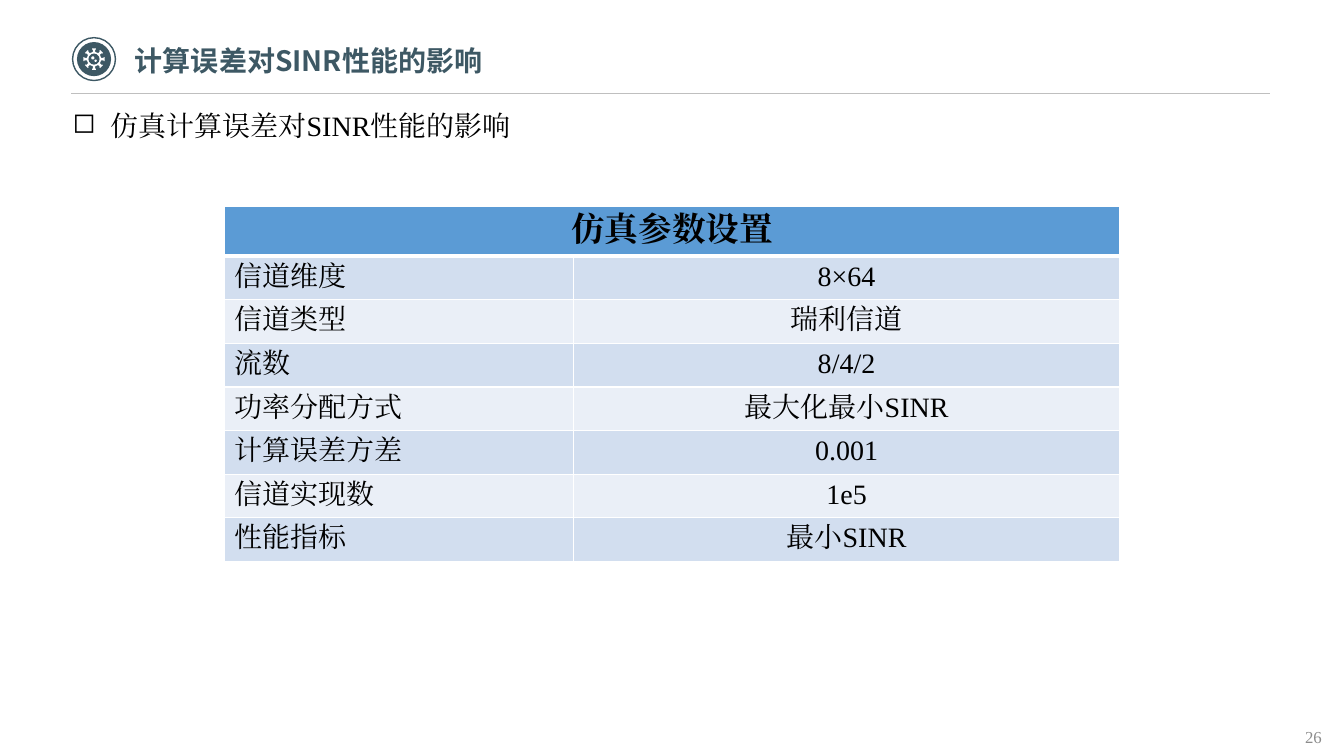
"""Build the slide on simulation parameters for the SINR error study."""
import math
from dataclasses import dataclass

from lxml import etree
from pptx import Presentation
from pptx import util as u
from pptx.dml.color import RGBColor
from pptx.enum import shapes, text
from pptx.oxml import ns


@dataclass(frozen=True)
class Theme:
    slate: str = "3D5864"
    white: str = "FFFFFF"
    black: str = "000000"
    rule: str = "BFBFBF"
    page: str = "8C8C8C"
    header: str = "5B9BD5"
    bands: tuple = ("D2DEEF", "EAEFF7")
    heading_font: str = "Noto Sans CJK SC"
    body_font: str = "Times New Roman"
    header_size: int = 24
    body_size: int = 20
    page_size: int = 12


def cm(*lengths):
    return [u.Cm(length) for length in lengths]


def child(parent, tag, **attributes):
    return etree.SubElement(parent, ns.qn(tag), attributes)


class SlideBuilder:
    def __init__(self, slide, theme):
        self.slide = slide
        self.theme = theme

    def wording(self, paragraph, words, size, color, face=None, bold=False, align=text.PP_ALIGN.LEFT):
        face = face or self.theme.body_font
        paragraph.text = words
        paragraph.alignment = align
        font = paragraph.font
        font.size, font.bold, font.name = u.Pt(size), bold, face
        font.color.rgb = RGBColor.from_string(color)
        defaults = paragraph._p.pPr.find(ns.qn("a:defRPr"))
        child(defaults, "a:ea", typeface=face)

    def frame(self, shape, left, right):
        frame = shape.text_frame
        frame.word_wrap = True
        frame.auto_size = text.MSO_AUTO_SIZE.NONE
        frame.margin_left, frame.margin_right = cm(left, right)
        frame.margin_top = frame.margin_bottom = u.Cm(0.13)
        return frame

    def title(self, words, box):
        heading = self.slide.shapes.title
        heading.left, heading.top, heading.width, heading.height = cm(*box)
        frame = self.frame(heading, 0, 0.25)
        frame.vertical_anchor = text.MSO_ANCHOR.MIDDLE
        self.wording(frame.paragraphs[0], words, self.theme.body_size, self.theme.slate,
                     self.theme.heading_font, True)

    def bullet(self, words, box):
        frame = self.frame(self.slide.shapes.add_textbox(*cm(*box)), 0, 0)
        point = frame.paragraphs[0]
        point.line_spacing = 1.3
        properties = point._p.get_or_add_pPr()
        properties.set("marL", str(u.Cm(0.95)))
        properties.set("indent", str(-u.Cm(0.95)))
        child(properties, "a:buChar", char="◻")
        self.wording(point, words, self.theme.body_size, self.theme.black, align=text.PP_ALIGN.JUSTIFY)

    def page_number(self, number, box):
        frame = self.frame(self.slide.shapes.add_textbox(*cm(*box)), 0.25, 0.25)
        self.wording(frame.paragraphs[0], number, self.theme.page_size, self.theme.page)

    def paint(self, shape, fill=None, line=None):
        shape.shadow.inherit = False
        if fill:
            shape.fill.solid()
            shape.fill.fore_color.rgb = RGBColor.from_string(fill)
        else:
            shape.fill.background()
        if line:
            shape.line.color.rgb = RGBColor.from_string(line)
            shape.line.width = u.Pt(1)
        else:
            shape.line.fill.background()

    def disc(self, x, y, radius, fill=None, line=None):
        box = cm(x - radius, y - radius, 2 * radius, 2 * radius)
        self.paint(self.slide.shapes.add_shape(shapes.MSO_SHAPE.OVAL, *box), fill, line)

    def gear(self, x, y, teeth=8):
        tooth = [(0.18, -0.03), (0.24, -0.03), (0.24, -0.05), (0.27, -0.05)]
        tooth += [(reach, -side) for reach, side in reversed(tooth)]
        points = []
        for index in range(teeth):
            angle = 2 * math.pi * index / teeth
            cos, sin = math.cos(angle), math.sin(angle)
            points += [cm(x + reach * cos - side * sin, y + reach * sin + side * cos)
                       for reach, side in tooth]
        outline = self.slide.shapes.build_freeform(*points[0], scale=1.0)
        outline.add_line_segments(points[1:], close=True)
        self.paint(outline.convert_to_shape(), self.theme.white)

    def emblem(self, x, y):
        slate, white = self.theme.slate, self.theme.white
        self.disc(x, y, 0.54, line=slate)
        self.disc(x, y, 0.43, slate)
        self.gear(x, y)
        self.disc(x, y, 0.14, slate)
        self.disc(x - 0.03, y - 0.03, 0.04, white)
        self.disc(x + 0.04, y + 0.04, 0.03, white)

    def rule(self, left, right, y):
        line = self.slide.shapes.add_connector(shapes.MSO_CONNECTOR.STRAIGHT, *cm(left, y, right, y))
        line.line.color.rgb = RGBColor.from_string(self.theme.rule)
        line.line.width = u.Pt(0.5)
        child(line._element.spPr, "a:effectLst")

    def cell(self, cell, words, fill, size, bold, align, bottom=1):
        properties = cell._tc.get_or_add_tcPr()
        for side in "LRTB":
            width = u.Pt(bottom if side == "B" else 1)
            border = child(properties, f"a:ln{side}", w=str(width))
            child(child(border, "a:solidFill"), "a:srgbClr", val=self.theme.white)
        cell.fill.solid()
        cell.fill.fore_color.rgb = RGBColor.from_string(fill)
        self.wording(cell.text_frame.paragraphs[0], words, size, self.theme.black, bold=bold, align=align)

    def table(self, heading, settings, left, top, widths, heights):
        rows = len(settings) + 1
        total = heights[0] + heights[1] * len(settings)
        grid = self.slide.shapes.add_table(rows, 2, *cm(left, top, sum(widths), total)).table
        for column, width in zip(grid.columns, widths):
            column.width = u.Cm(width)
        for index, row in enumerate(grid.rows):
            row.height = u.Cm(heights[min(index, 1)])
        center = text.PP_ALIGN.CENTER
        grid.cell(0, 0).merge(grid.cell(0, 1))
        for column, words in enumerate((heading, "")):
            self.cell(grid.cell(0, column), words, self.theme.header,
                      self.theme.header_size, True, center, 3)
        for index, setting in enumerate(settings):
            fill = self.theme.bands[index % 2]
            for column, align in enumerate((text.PP_ALIGN.JUSTIFY, center)):
                self.cell(grid.cell(index + 1, column), setting[column], fill,
                          self.theme.body_size, False, align)


SETTINGS = [
    ("信道维度", "8×64"),
    ("信道类型", "瑞利信道"),
    ("流数", "8/4/2"),
    ("功率分配方式", "最大化最小SINR"),
    ("计算误差方差", "0.001"),
    ("信道实现数", "1e5"),
    ("性能指标", "最小SINR"),
]


def main():
    deck = Presentation()
    deck.slide_width, deck.slide_height = cm(33.87, 19.05)
    builder = SlideBuilder(deck.slides.add_slide(deck.slide_layouts[5]), Theme())
    builder.page_number("26", (32.64, 18.19, 2.46, 0.76))
    builder.emblem(2.37, 1.49)
    builder.rule(1.8, 32, 2.36)
    builder.title("计算误差对SINR性能的影响", (3.4, 0.97, 18.34, 1.12))
    builder.bullet("仿真计算误差对SINR性能的影响", (1.83, 2.34, 30.2, 16.71))
    builder.table("仿真参数设置", SETTINGS, 5.66, 5.21, (8.79, 13.77), (1.24, 1.1))
    deck.save("out.pptx")


if __name__ == "__main__":
    main()
